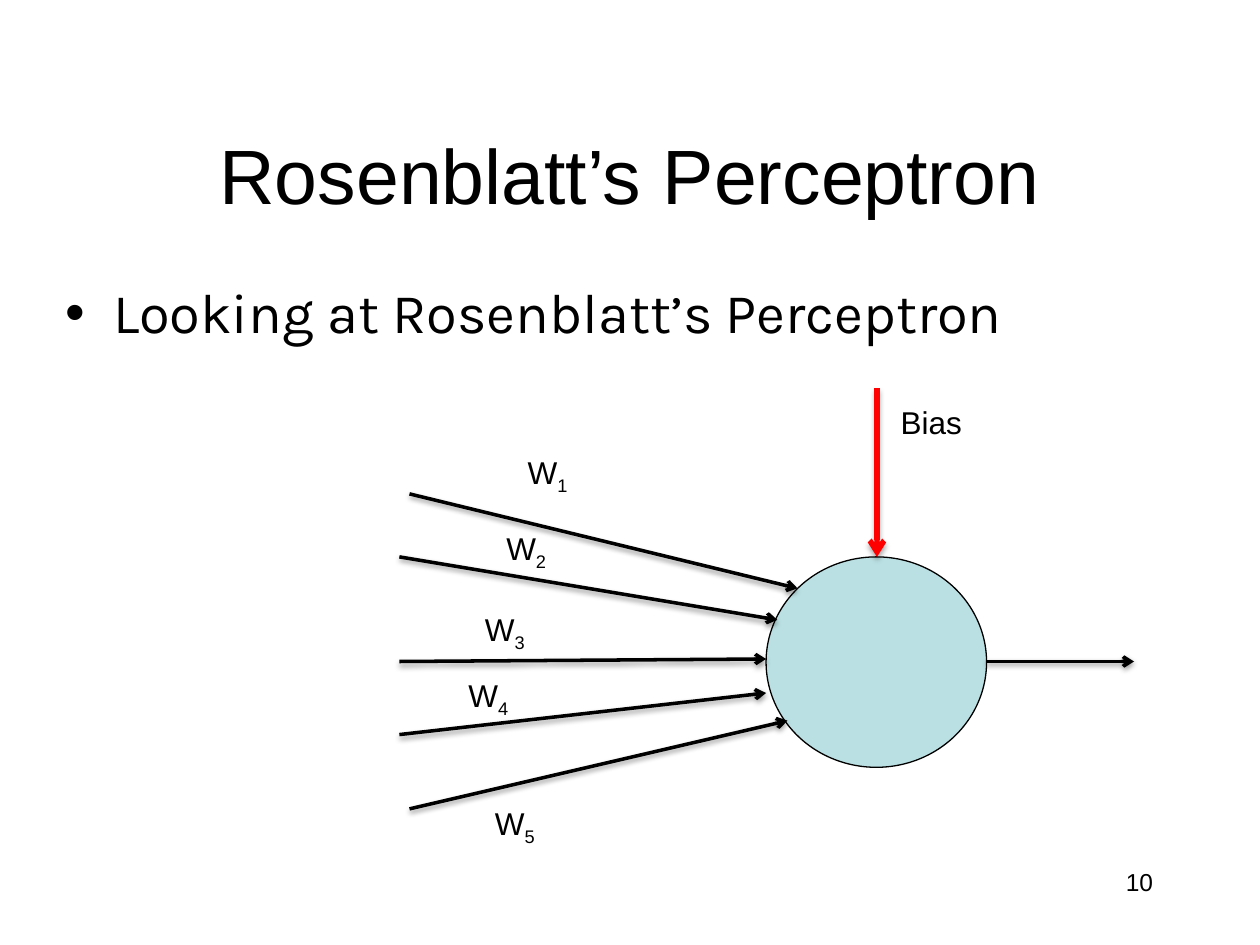
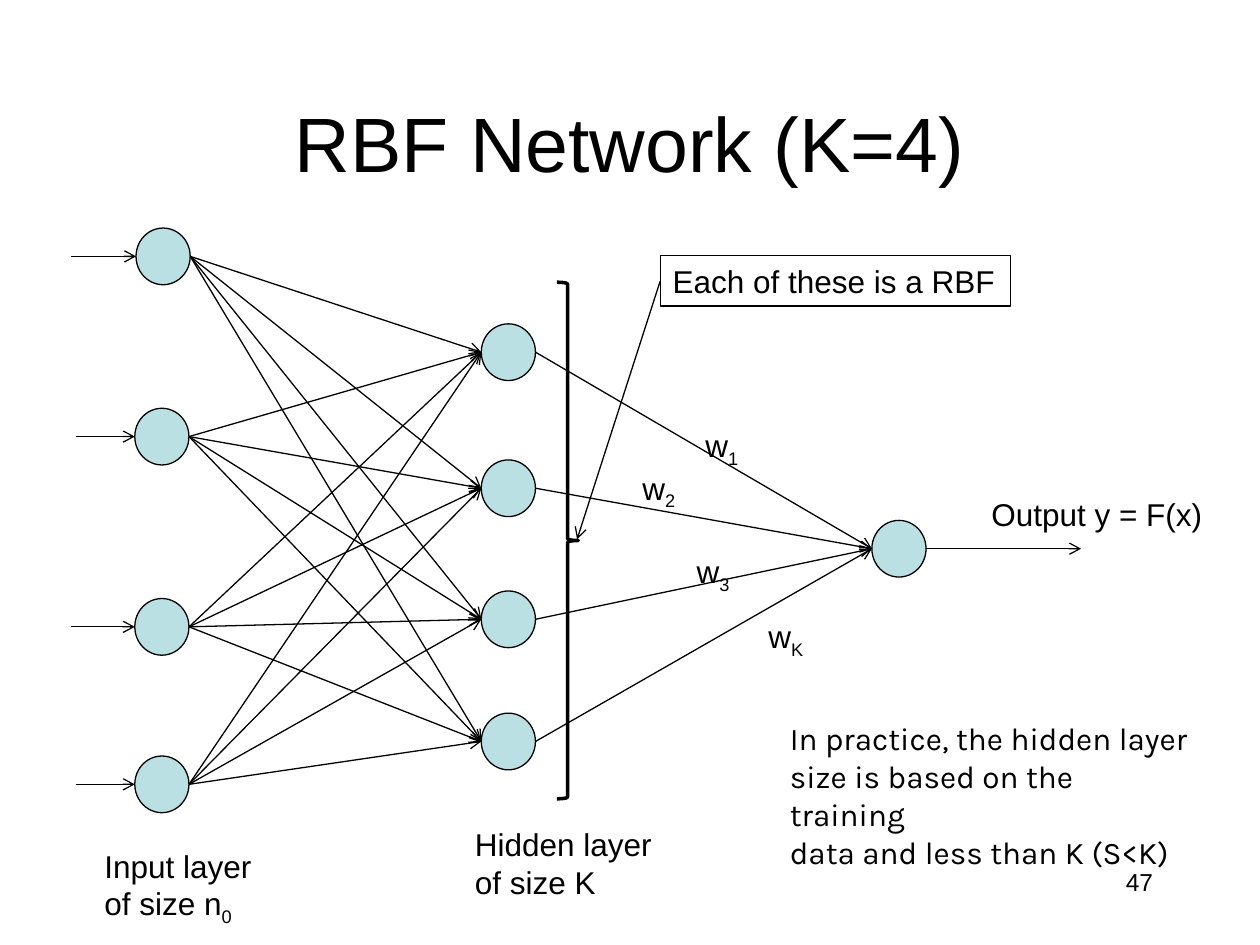
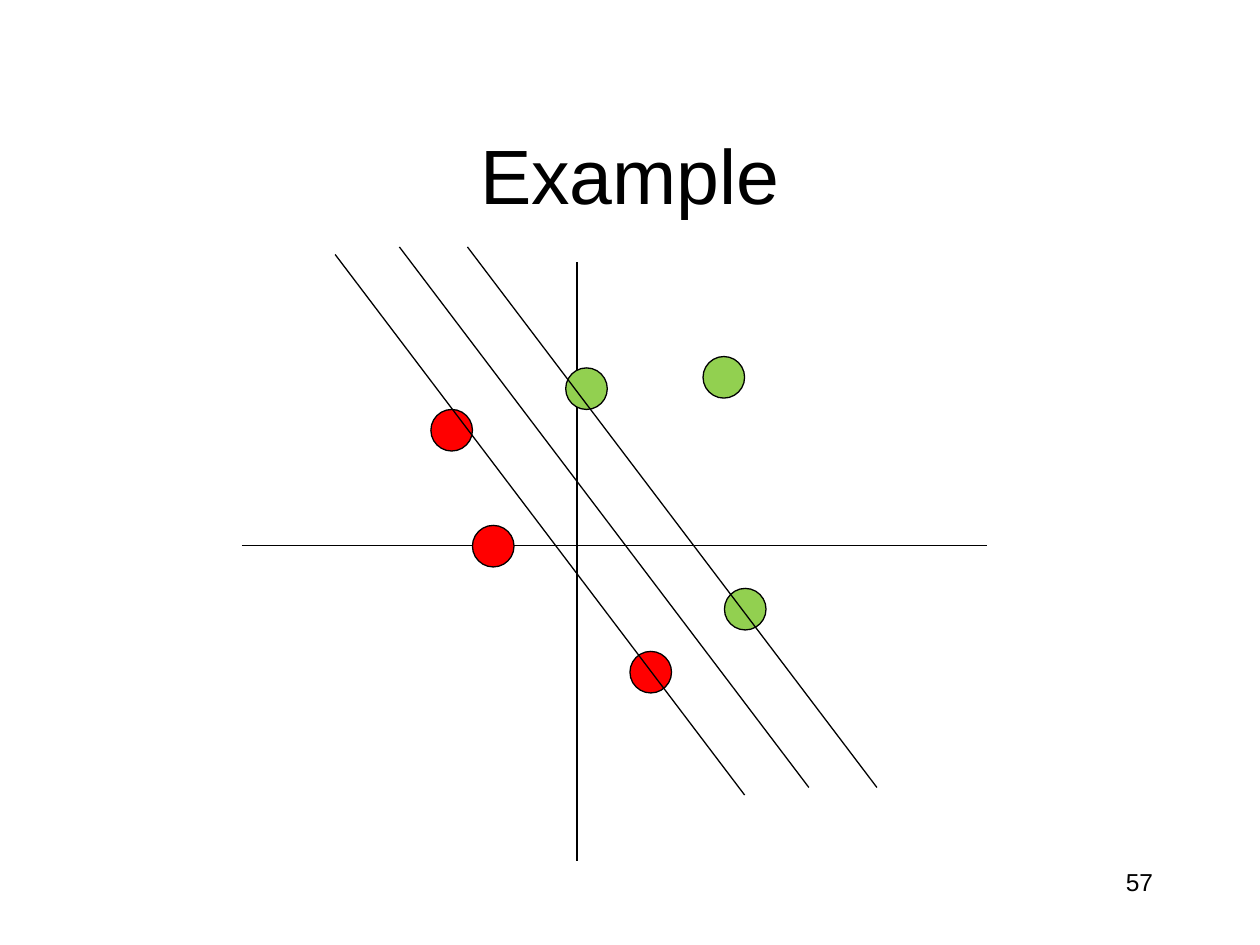
from pptx import Presentation
from pptx.dml.color import RGBColor
from pptx.enum import shapes as kinds, text as settings
from pptx.oxml import parse_xml
from pptx.oxml.ns import nsdecls, qn
from pptx.util import Inches, Pt

BLACK, RED, GREEN, PALE_BLUE = "000000", "FF0000", "92D050", "BBE0E3"
SANS, ROUNDED = "Arial", "Karla"
NODE_WIDTH, NODE_HEIGHT = 0.43, 0.45
POINT_SIZE = 0.33


def color(value):
    """Turn a hex string into a colour."""
    return RGBColor.from_string(value)


def place(shape, left, top, width, height):
    """Set the position and size of a shape in inches."""
    shape.left, shape.top = Inches(left), Inches(top)
    shape.width, shape.height = Inches(width), Inches(height)


def add_run(paragraph, words, size, font, subscript=False):
    """Add one formatted run to a paragraph."""
    run = paragraph.add_run()
    run.text = words
    run.font.size, run.font.name = Pt(size), font
    run.font.color.rgb = color(BLACK)
    if subscript:
        run.font._element.set("baseline", "-25000")


def write(frame, words, size=18, font=SANS, align=settings.PP_ALIGN.LEFT):
    """Write lines of text, with an underscore before each subscript."""
    for index, line in enumerate(words.split("\n")):
        paragraph = frame.add_paragraph() if index else frame.paragraphs[0]
        paragraph.alignment = align
        base, _, subscript = line.partition("_")
        add_run(paragraph, base, size, font)
        if subscript:
            add_run(paragraph, subscript, size, font, subscript=True)


def fit_to_text(frame):
    """Make a frame grow with unwrapped text."""
    frame.word_wrap = False
    frame.auto_size = settings.MSO_AUTO_SIZE.SHAPE_TO_FIT_TEXT


def add_label(slide, words, left, top, width, height=0.4, font=SANS):
    """Add an unwrapped label."""
    box = slide.shapes.add_textbox(Inches(left), Inches(top), Inches(width), Inches(height))
    fit_to_text(box.text_frame)
    write(box.text_frame, words, font=font)


def add_bullet(slide, words):
    """Add the bulleted body text."""
    box = slide.shapes.add_textbox(Inches(0.42), Inches(2.21), Inches(9.17), Inches(4.79))
    box.text_frame.word_wrap = True
    write(box.text_frame, words, 32, ROUNDED)
    paragraph = box.text_frame.paragraphs[0]
    paragraph.line_spacing, paragraph.space_before = 0.9, Pt(6.4)
    properties = paragraph._p.get_or_add_pPr()
    properties.set("marL", str(Inches(0.38)))
    properties.set("indent", str(Inches(-0.38)))
    properties.append(parse_xml(f'<a:buFont {nsdecls("a")} typeface="Arial"/>'))
    properties.append(parse_xml(f'<a:buChar {nsdecls("a")} char="•"/>'))


def add_shape(shapes, kind, left, top, width, height, fill=None, weight=0.75):
    """Add an outlined preset shape."""
    shape = shapes.add_shape(kind, Inches(left), Inches(top), Inches(width), Inches(height))
    shape.shadow.inherit = False
    if fill:
        shape.fill.solid()
        shape.fill.fore_color.rgb = color(fill)
    else:
        shape.fill.background()
    shape.line.color.rgb, shape.line.width = color(BLACK), Pt(weight)
    return shape


def add_line(shapes, start, end, stroke=BLACK, weight=0.75, arrow=True, shadow=None):
    """Add a straight line, with shadow given as opacity and distance."""
    points = [Inches(value) for value in (*start, *end)]
    line = shapes.add_connector(kinds.MSO_CONNECTOR.STRAIGHT, *points)
    line.line.color.rgb, line.line.width = color(stroke), Pt(weight)
    properties = line._element.spPr
    if arrow:
        properties.find(qn("a:ln")).append(parse_xml(f'<a:tailEnd {nsdecls("a")} type="arrow"/>'))
    effect = ""
    if shadow:
        opacity, distance = shadow
        effect = (f'<a:outerShdw blurRad="{Pt(3.1)}" dist="{Pt(distance)}" dir="5400000" '
                  f'rotWithShape="0"><a:srgbClr val="{BLACK}">'
                  f'<a:alpha val="{opacity * 1000}"/></a:srgbClr></a:outerShdw>')
    properties.append(parse_xml(f'<a:effectLst {nsdecls("a")}>{effect}</a:effectLst>'))
    return line


def add_node(slide, left, top):
    """Add a neuron and return its left and right ends."""
    add_shape(slide.shapes, kinds.MSO_SHAPE.OVAL, left, top, NODE_WIDTH, NODE_HEIGHT, PALE_BLUE)
    middle = top + NODE_HEIGHT / 2
    return (left, middle), (left + NODE_WIDTH, middle)


def add_slide(presentation, title, number, top=0.92):
    """Add a slide with its title and slide number."""
    slide = presentation.slides.add_slide(presentation.slide_layouts[5])
    heading = slide.shapes.title
    place(heading, 0.5, top, 9, 1.05)
    frame = heading.text_frame
    frame.auto_size = settings.MSO_AUTO_SIZE.NONE
    frame.vertical_anchor = settings.MSO_ANCHOR.MIDDLE
    frame.margin_bottom = Inches(0.19)
    write(frame, title, 44, align=settings.PP_ALIGN.CENTER)
    box = slide.shapes.add_textbox(Inches(7.17), Inches(6.83), Inches(2.08), Inches(0.5))
    box.text_frame.word_wrap = True
    write(box.text_frame, str(number), 14, align=settings.PP_ALIGN.RIGHT)
    return slide


def build_perceptron(presentation):
    """Build the slide with a single perceptron."""
    slide = add_slide(presentation, "Rosenblatt’s Perceptron", 10)
    add_bullet(slide, "Looking at Rosenblatt’s Perceptron")
    add_shape(slide.shapes, kinds.MSO_SHAPE.OVAL, 6.08, 4.42, 1.75, 1.67, PALE_BLUE)
    signals = [
        ((3.25, 3.92), (6.33, 4.67)),
        ((3.17, 4.42), (6.17, 4.92)),
        ((3.17, 5.25), (6.08, 5.23)),
        ((3.17, 5.83), (6.08, 5.5)),
        ((3.25, 6.42), (6.25, 5.72)),
        ((7.83, 5.25), (9, 5.25)),
    ]
    for start, end in signals:
        add_line(slide.shapes, start, end, weight=2, shadow=(38, 1.6))
    weights = [(4.09, 3.55), (3.92, 4.15), (3.75, 4.79), (3.62, 5.32), (3.83, 6.33)]
    for index, (left, top) in enumerate(weights, 1):
        add_label(slide, f"W_{index}", left, top, 0.53)
    add_line(slide.shapes, (6.96, 3.08), (6.96, 4.42), RED, 3, shadow=(35, 1.8))
    add_label(slide, "Bias", 7.05, 3.15, 0.69)


def add_callout(slide):
    """Add the grouped brace, note and arrow for the hidden layer."""
    shapes = slide.shapes.add_group_shape().shapes
    note = add_shape(shapes, kinds.MSO_SHAPE.RECTANGLE, 5.24, 2.03, 2.78, 0.4)
    fit_to_text(note.text_frame)
    write(note.text_frame, "Each of these is a RBF")
    arrow = add_line(shapes, (5.24, 2.23), (4.58, 4.28))
    arrow.begin_connect(note, 1)
    add_shape(shapes, kinds.MSO_SHAPE.RIGHT_BRACE, 4.42, 2.24, 0.17, 4.1, weight=2)


def build_network(presentation):
    """Build the slide with the radial basis function network."""
    slide = add_slide(presentation, "RBF Network (K=4)", 47, top=0.67)
    inputs = [add_node(slide, left, top)
              for left, top in ((1.08, 1.81), (1.07, 3.24), (1.07, 4.75), (1.07, 6))]
    hidden = [add_node(slide, 3.82, top) for top in (2.57, 3.65, 4.69, 5.66)]
    output_left, output_right = add_node(slide, 6.92, 4.13)
    for (input_left, input_right), feed_left in zip(inputs, (0.56, 0.6, 0.56, 0.6)):
        add_line(slide.shapes, (feed_left, input_left[1]), input_left)
        for hidden_left, _ in hidden:
            add_line(slide.shapes, input_right, hidden_left)
    for _, hidden_right in hidden:
        add_line(slide.shapes, hidden_right, output_left)
    add_line(slide.shapes, output_right, (8.58, output_right[1]))
    add_label(slide, "Hidden layer\nof size K", 3.67, 6.5, 1.69, 0.71)
    add_label(slide, "Input layer\nof size n_0", 0.73, 6.67, 1.45, 0.71)
    add_label(slide, "Output y = F(x)", 7.77, 3.88, 1.89)
    weights = [("1", 5.5, 3.33), ("2", 5, 3.67), ("3", 5.43, 4.33), ("K", 6, 4.85)]
    for index, left, top in weights:
        add_label(slide, f"w_{index}", left, top, 0.48)
    add_callout(slide)
    remark = ("In practice, the hidden layer\nsize is based on the training\n"
              "data and less than K (S<K)")
    add_label(slide, remark, 6.17, 5.66, 3.42, 1.01, ROUNDED)


def build_example(presentation):
    """Build the slide with two separated classes."""
    slide = add_slide(presentation, "Example", 57)
    for start, end in (((4.58, 2.08), (4.58, 6.83)), ((1.92, 4.33), (7.83, 4.33))):
        add_line(slide.shapes, start, end, arrow=False)
    classes = {
        GREEN: [(5.58, 2.83), (5.75, 4.67), (4.49, 2.92)],
        RED: [(3.75, 4.17), (3.42, 3.25), (5, 5.17)],
    }
    for fill, points in classes.items():
        for left, top in points:
            add_shape(slide.shapes, kinds.MSO_SHAPE.OVAL, left, top, POINT_SIZE, POINT_SIZE, fill)
    for left, top in ((3.17, 1.96), (2.66, 2.02), (3.71, 1.96)):
        add_line(slide.shapes, (left, top), (left + 3.25, top + 4.29), arrow=False)


def main():
    """Build and save the presentation."""
    presentation = Presentation()
    presentation.slide_width, presentation.slide_height = Inches(10), Inches(7.5)
    build_perceptron(presentation)
    build_network(presentation)
    build_example(presentation)
    presentation.save("out.pptx")


if __name__ == "__main__":
    main()
